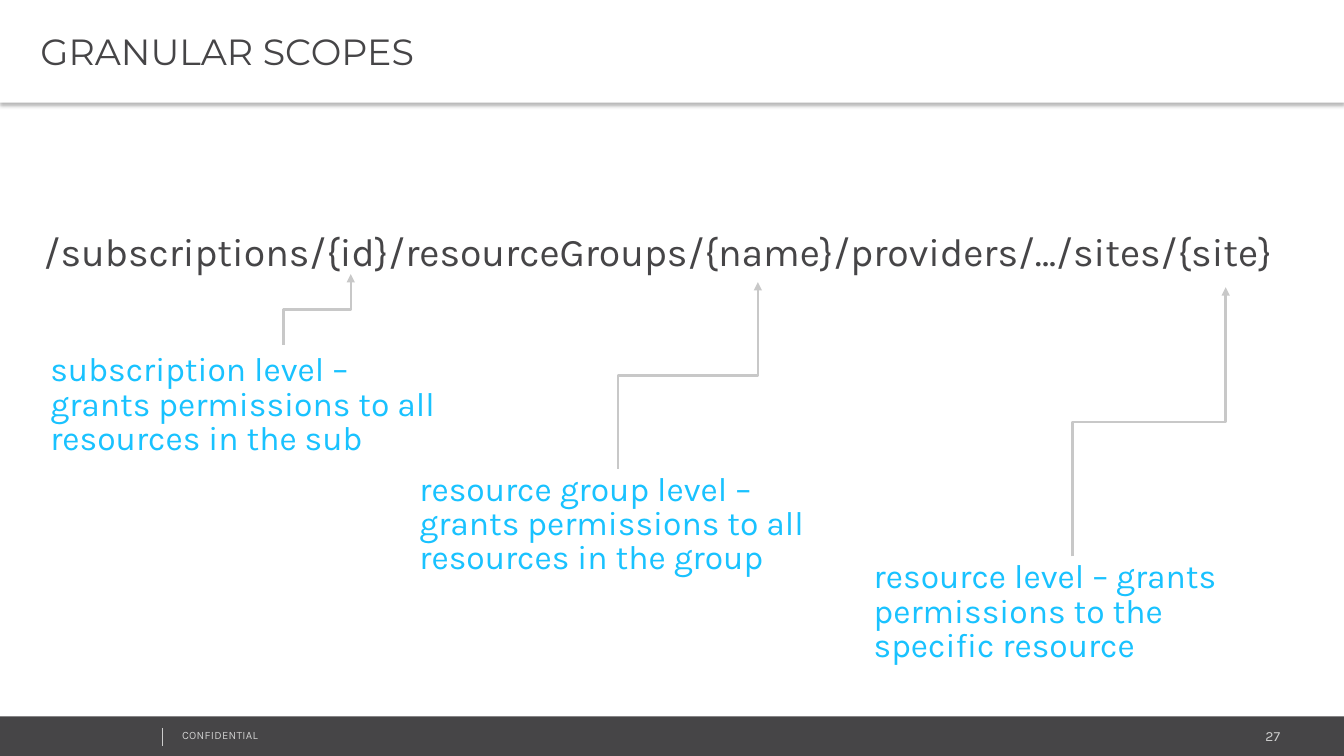
from pptx import Presentation
from pptx.dml.color import RGBColor
from pptx.enum.shapes import MSO_CONNECTOR as Connector, MSO_SHAPE as Shape
from pptx.enum.text import MSO_ANCHOR as Anchor, PP_ALIGN as Align
from pptx.oxml.ns import qn
from pptx.util import Cm, Pt
from lxml.etree import SubElement

COLORS = {
    "white": "FFFFFF",
    "charcoal": "464547",
    "footer": "CCCCCC",
    "arrow": "C8C8C8",
    "accent": "19C2FF",
    "shadow": "000000",
}
SLIDE_WIDTH, SLIDE_HEIGHT = 33.87, 19.05
LEVEL_WIDTH, LEVEL_HEIGHT = 10.9, 3.12


class ScopeSlide:
    body_font = "Karla"
    title_font = "Montserrat"

    def __init__(self, slide):
        self.slide = slide

    def color(self, name):
        return RGBColor.from_string(COLORS[name])

    def set_text(self, shape, text, size, color, font=None, align=Align.LEFT,
                 before=0, spacing=1.0):
        frame = shape.text_frame
        frame.word_wrap = True
        frame.text = text
        paragraph = frame.paragraphs[0]
        paragraph.alignment = align
        paragraph.space_before = Pt(before)
        paragraph.line_spacing = spacing
        run = paragraph.runs[0]
        run.font.size = Pt(size)
        run.font.name = font or self.body_font
        run.font.color.rgb = self.color(color)
        return run

    def text(self, left, top, width, height, text, size, color, **style):
        box = self.slide.shapes.add_textbox(
            Cm(left), Cm(top), Cm(width), Cm(height))
        run = self.set_text(box, text, size, color, **style)
        return box, run

    def bar(self, top, height, color):
        shape = self.slide.shapes.add_shape(
            Shape.RECTANGLE, 0, Cm(top), Cm(SLIDE_WIDTH), Cm(height))
        shape.shadow.inherit = False
        shape.fill.solid()
        shape.fill.fore_color.rgb = self.color(color)
        shape.line.fill.background()
        return shape

    def title(self, text):
        shape = self.bar(0, 2.59, "white")
        effects = shape._element.spPr.find(qn("a:effectLst"))
        shadow = SubElement(effects, qn("a:outerShdw"), blurRad=str(Pt(3.1)),
                            dist=str(Pt(2)), dir="5400000", rotWithShape="0")
        shade = SubElement(shadow, qn("a:srgbClr"), val=COLORS["shadow"])
        SubElement(shade, qn("a:alpha"), val="30000")
        shape.text_frame.margin_left = Cm(1.02)
        shape.text_frame.vertical_anchor = Anchor.MIDDLE
        self.set_text(shape, text, 26, "charcoal", font=self.title_font)

    def line(self, kind, start, end, color, width):
        connector = self.slide.shapes.add_connector(
            kind, *(Cm(value) for value in (*start, *end)))
        connector.line.color.rgb = self.color(color)
        connector.line.width = Pt(width)
        SubElement(connector._element.spPr, qn("a:effectLst"))
        return connector

    def rising_arrow(self, start, end):
        center_x, center_y = (start[0] + end[0]) / 2, (start[1] + end[1]) / 2
        half_run, half_rise = (end[0] - start[0]) / 2, (start[1] - end[1]) / 2
        connector = self.line(
            Connector.ELBOW,
            (center_x + half_rise, center_y + half_run),
            (center_x - half_rise, center_y - half_run), "arrow", 1.75)
        properties = connector._element.spPr
        properties.find(qn("a:xfrm")).set("rot", "5400000")
        SubElement(properties.find(qn("a:ln")), qn("a:tailEnd"), type="triangle")

    def level(self, left, top, text):
        box, _ = self.text(left, top, LEVEL_WIDTH, LEVEL_HEIGHT, text, 24,
                           "accent", before=13, spacing=0.85)
        box.text_frame.margin_left = Cm(0.51)

    def footer(self, label, number):
        self.bar(18.05, 1, "charcoal")
        self.text(26.97, 18.21, 5.54, 0.69, number, 10, "footer",
                  align=Align.RIGHT)
        _, run = self.text(4.34, 18.24, 8.59, 0.61, label, 8, "footer")
        run.font._element.set("spc", "20")
        self.line(Connector.STRAIGHT, (4.09, 18.34), (4.09, 18.8), "footer", 0.25)


def main():
    presentation = Presentation()
    presentation.slide_width = Cm(SLIDE_WIDTH)
    presentation.slide_height = Cm(SLIDE_HEIGHT)
    scopes = ScopeSlide(
        presentation.slides.add_slide(presentation.slide_layouts[6]))

    scopes.footer("CONFIDENTIAL", "27")
    scopes.title("GRANULAR SCOPES")
    levels = [
        (0.76, 8.81, (7.14, 8.69), (8.84, 6.91),
         "subscription level – grants permissions to all resources in the sub"),
        (10.06, 11.81, (15.57, 11.81), (19.1, 7.11),
         "resource group level – grants permissions to all resources in the group"),
        (21.51, 14.02, (27.03, 14.02), (30.89, 7.24),
         "resource level – grants permissions to the specific resource"),
    ]
    for left, top, start, end, text in levels:
        scopes.level(left, top, text)
        scopes.rising_arrow(start, end)
    scopes.text(
        -0.69, 5.61, 34.54, 1.75,
        "/subscriptions/{id}/resourceGroups/{name}/providers/…/sites/{site}",
        28, "charcoal", align=Align.CENTER, before=5.6)

    presentation.save("out.pptx")


if __name__ == "__main__":
    main()
